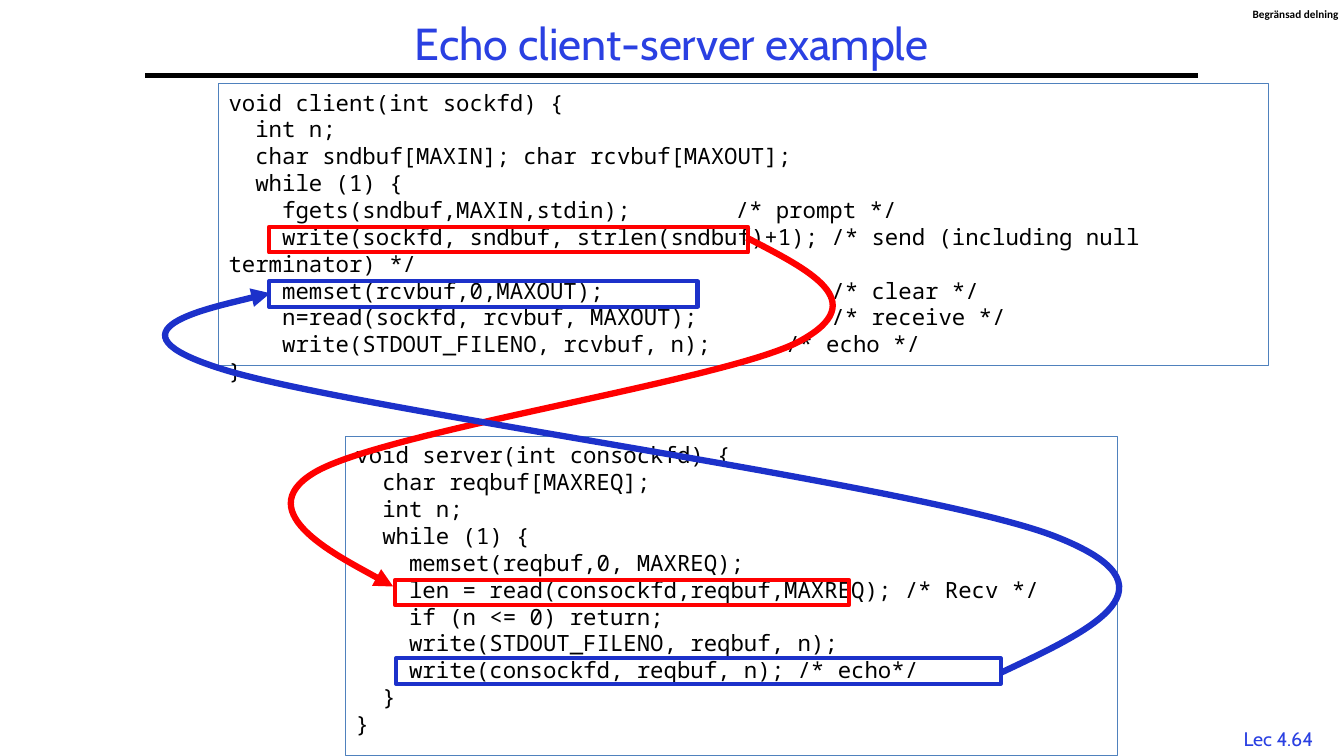
from dataclasses import dataclass
from lxml.etree import SubElement
from pptx import Presentation
from pptx.dml.color import RGBColor
from pptx.enum.shapes import MSO_CONNECTOR, MSO_SHAPE
from pptx.enum.text import MSO_ANCHOR, MSO_AUTO_SIZE, PP_ALIGN
from pptx.oxml.ns import qn
from pptx.util import Cm, Pt

TITLE = "Echo client-server example"
NUMBER = "Lec 4.64"
MARK = "Begränsad delning"

CLIENT = """void client(int sockfd) {
  int n;
  char sndbuf[MAXIN]; char rcvbuf[MAXOUT];
  while (1) {
    fgets(sndbuf,MAXIN,stdin);\t\t    /* prompt */
    write(sockfd, sndbuf, strlen(sndbuf)+1); /* send (including null terminator) */
    memset(rcvbuf,0,MAXOUT);                 /* clear */
    n=read(sockfd, rcvbuf, MAXOUT);          /* receive */
    write(STDOUT_FILENO, rcvbuf, n);\t    /* echo */
}"""

SERVER = """void server(int consockfd) {
  char reqbuf[MAXREQ];
  int n;
  while (1) {
    memset(reqbuf,0, MAXREQ);
    len = read(consockfd,reqbuf,MAXREQ); /* Recv */
    if (n <= 0) return;
    write(STDOUT_FILENO, reqbuf, n);
    write(consockfd, reqbuf, n); /* echo*/
  }
}"""

# Boxes are left, top, width, height in cm.
LISTINGS = [
    (CLIENT, (5.51, 2.11, 26.47, 7.09)),
    (SERVER, (8.71, 11, 19.46, 8.03)),
]

# Each curve has its box, then a start point followed by Bezier triples.
REQUEST = (
    (7.47, 5.99, 13.51, 8.79),
    [(18.82, 5.99),
     (20.4, 6.81), (22, 7.59), (20.17, 8.59),
     (18.36, 9.58), (9.65, 10.87), (7.92, 11.91),
     (6.22, 12.93), (9.91, 14.78), (9.91, 14.78)],
)
REPLY = (
    (4.45, 7.39, 23.75, 9.55),
    [(25.25, 16.94),
     (27.56, 15.85), (29.85, 14.78), (26.57, 13.51),
     (23.29, 12.24), (8.97, 10.34), (5.66, 9.32),
     (2.36, 8.31), (6.81, 7.39), (6.81, 7.39)],
)

# Frames are left, top, width in cm; all share one height.
FRAME_HEIGHT = 0.64
SEND, RECV = (6.78, 5.72, 12.07), (9.96, 14.61, 11.43)
ECHO, CLEAR = (9.98, 16.59, 15.24), (6.78, 7.09, 10.8)


@dataclass(frozen=True)
class Theme:
    ink: str = "000000"
    title: str = "2A40E2"
    border: str = "4F81BD"
    request: str = "FF0000"
    reply: str = "1C31CA"
    head: str = "Cabin"
    code: str = "Noto Sans Mono"
    label: str = "Calibri"
    title_size: float = 32
    code_size: float = 16
    number_size: float = 14
    mark_size: float = 8
    thin: float = 0.75
    frame: float = 3
    arrow: float = 4.5


THEME = Theme()


def place(box):
    return [Cm(n) for n in box]


def write(frame, text, face, size, color, align=PP_ALIGN.LEFT, bold=False):
    frame.auto_size = MSO_AUTO_SIZE.NONE
    for i, line in enumerate(text.split("\n")):
        para = frame.add_paragraph() if i else frame.paragraphs[0]
        para.alignment = align
        run = para.add_run()
        run.text = line
        run.font.name = face
        run.font.size = Pt(size)
        run.font.bold = bold
        run.font.color.rgb = RGBColor.from_string(color)


def outline(shape, color, width):
    shape.shadow.inherit = False
    shape.fill.background()
    shape.line.color.rgb = RGBColor.from_string(color)
    shape.line.width = Pt(width)


def add_box(slide, box, color, width):
    shape = slide.shapes.add_shape(MSO_SHAPE.RECTANGLE, *place(box))
    outline(shape, color, width)
    return shape


def add_frame(slide, spot, color):
    add_box(slide, (*spot, FRAME_HEIGHT), color, THEME.frame)


def add_curve(slide, box, points, color):
    """Draw Bezier triples as one freeform with an arrowhead at its end."""
    left, top, width, height = place(box)
    maker = slide.shapes.build_freeform(left, top)
    maker.add_line_segments([(left + width, top + height)], close=False)
    shape = maker.convert_to_shape()
    outline(shape, color, THEME.arrow)

    route = next(shape.element.iter(qn("a:path")))
    for step in list(route):
        route.remove(step)
    steps = [("a:moveTo", points[:1])]
    steps += [("a:cubicBezTo", points[i:i + 3]) for i in range(1, len(points), 3)]
    for tag, group in steps:
        step = SubElement(route, qn(tag))
        for x, y in group:
            SubElement(step, qn("a:pt"), x=str(Cm(x) - left), y=str(Cm(y) - top))

    SubElement(shape.line._get_or_add_ln(), qn("a:tailEnd"), type="triangle")


def add_label(slide, box, wrap, *style, **more):
    frame = slide.shapes.add_textbox(*place(box)).text_frame
    frame.word_wrap = wrap
    write(frame, *style, **more)
    return frame


def add_heading(slide):
    title = slide.shapes.title
    title.left, title.top, title.width, title.height = place((3.66, 0.43, 26.54, 1.47))
    frame = title.text_frame
    frame.vertical_anchor = MSO_ANCHOR.MIDDLE
    write(frame, TITLE, THEME.head, THEME.title_size, THEME.title, PP_ALIGN.CENTER)
    frame.paragraphs[0].line_spacing = 0.9

    rule = slide.shapes.add_connector(
        MSO_CONNECTOR.STRAIGHT, *place((3.66, 1.9, 30.2, 1.9)))
    rule.line.color.rgb = RGBColor.from_string(THEME.ink)
    rule.line.width = Pt(THEME.frame)
    SubElement(rule.element.spPr, qn("a:effectLst"))


def add_listing(slide, text, box):
    frame = add_box(slide, box, THEME.border, THEME.thin).text_frame
    frame.word_wrap = True
    frame.vertical_anchor = MSO_ANCHOR.TOP
    write(frame, text, THEME.code, THEME.code_size, THEME.ink)


def main():
    deck = Presentation()
    deck.slide_width, deck.slide_height = Cm(33.87), Cm(19.05)
    slide = deck.slides.add_slide(deck.slide_layouts[5])

    add_label(slide, (30.99, 18.19, 2.46, 0.84), False, NUMBER, THEME.head,
              THEME.number_size, THEME.title, PP_ALIGN.CENTER)
    mark = add_label(slide, (31.57, 0.18, 2.18, 0.33), True, MARK, THEME.label,
                     THEME.mark_size, THEME.ink, bold=True)
    mark.margin_left = mark.margin_right = mark.margin_top = mark.margin_bottom = 0
    add_heading(slide)

    for text, box in LISTINGS:
        add_listing(slide, text, box)

    add_curve(slide, *REQUEST, THEME.request)
    for spot in (SEND, RECV):
        add_frame(slide, spot, THEME.request)
    add_frame(slide, ECHO, THEME.reply)
    add_curve(slide, *REPLY, THEME.reply)
    add_frame(slide, CLEAR, THEME.reply)

    deck.save("out.pptx")


if __name__ == "__main__":
    main()
